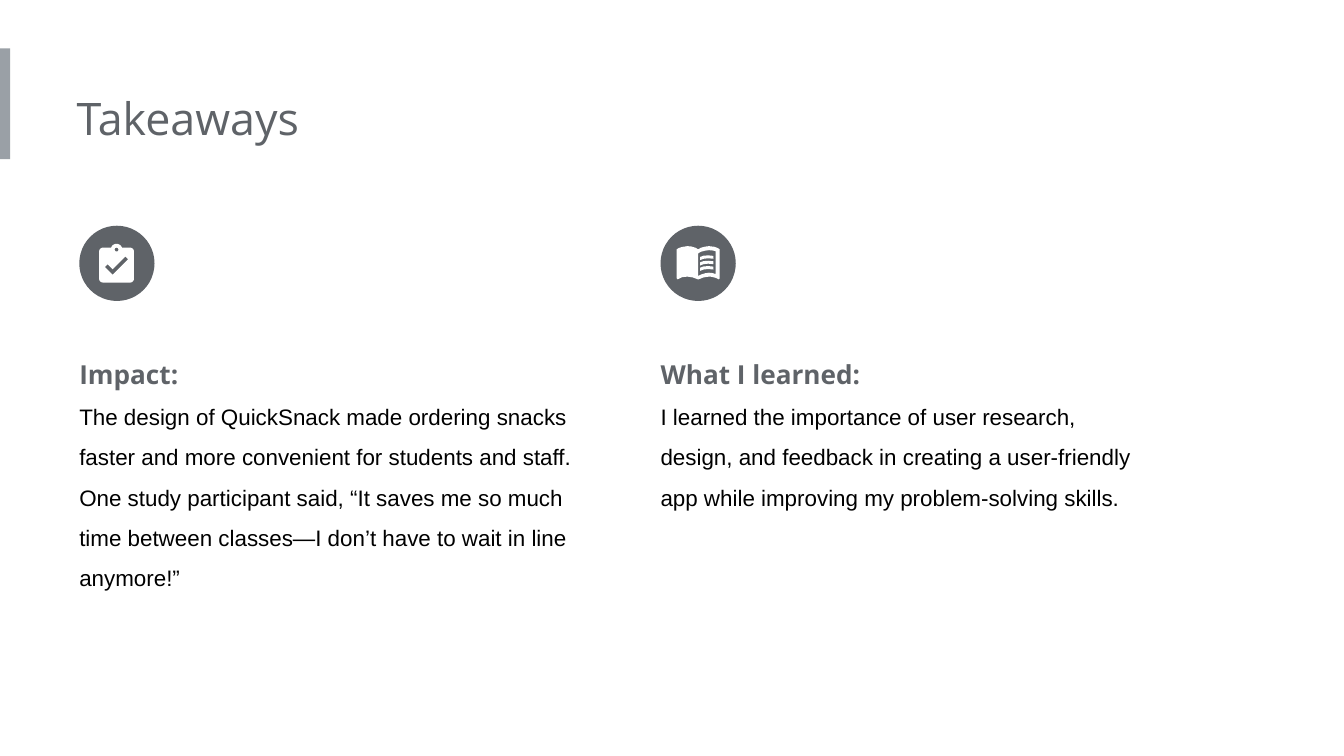
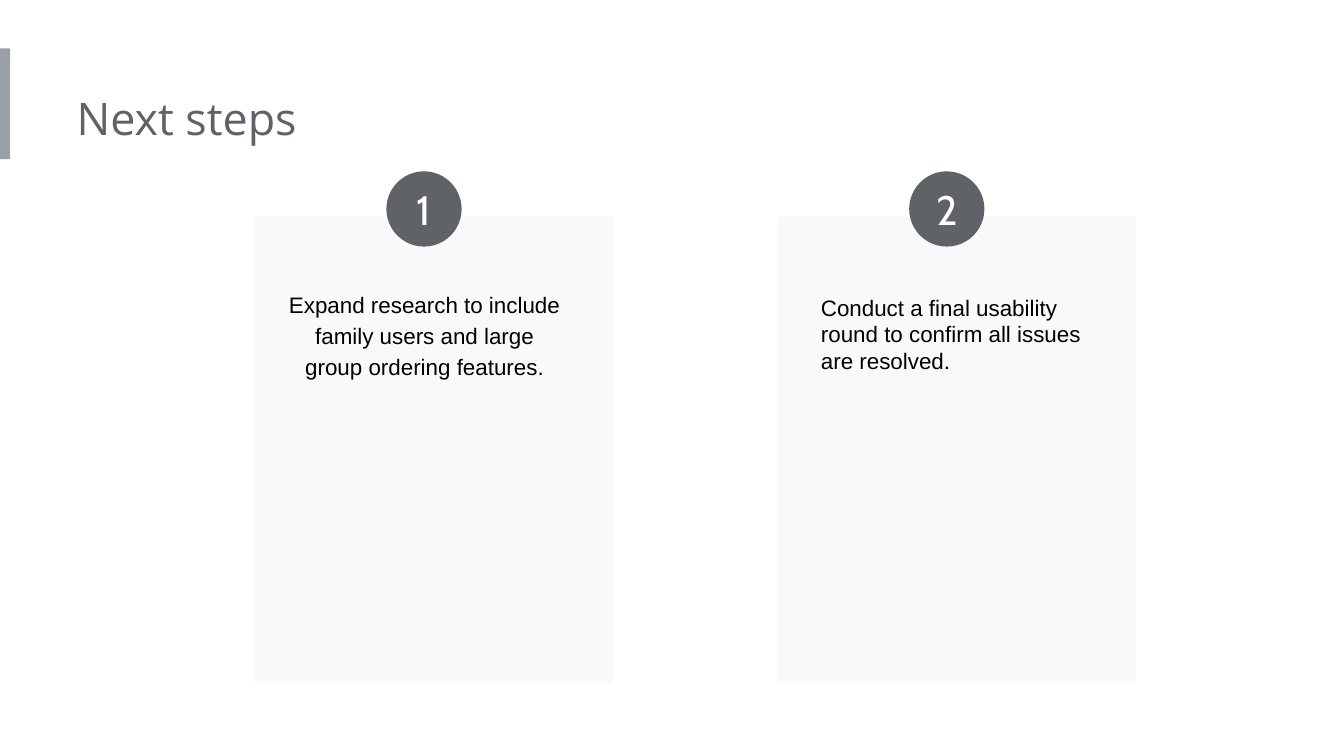
"""Build the Takeaways and Next steps slides."""
from math import cos, radians, sin

from pptx import Presentation
from pptx.dml.color import RGBColor
from pptx.enum.shapes import MSO_SHAPE
from pptx.enum.text import MSO_ANCHOR, MSO_AUTO_SIZE, PP_ALIGN
from pptx.util import Pt

SCALE = 4572
GRAY = RGBColor(0x5F, 0x63, 0x68)
ACCENT = RGBColor(0x9A, 0xA0, 0xA6)
CARD = RGBColor(0xF8, 0xF9, 0xFA)
WHITE = RGBColor(0xFF, 0xFF, 0xFF)
BLACK = RGBColor(0, 0, 0)

TITLE_STYLE = ("Open Sans", 24, GRAY, False)
HEADING_STYLE = ("Open Sans", 14, GRAY, True)
BODY_STYLE = ("Arial", 12, BLACK, False)
NUMBER_STYLE = ("Cabin", 22, WHITE, False)
CIRCLE = 112


def add_text(slide, box, lines, left_inset=0, right_inset=20, spacing=1.0, align=PP_ALIGN.LEFT):
    shape = slide.shapes.add_textbox(*[value * SCALE for value in box])
    frame = shape.text_frame
    frame.word_wrap = True
    frame.auto_size = MSO_AUTO_SIZE.SHAPE_TO_FIT_TEXT
    frame.margin_left = left_inset * SCALE
    frame.margin_right = right_inset * SCALE
    frame.margin_top = frame.margin_bottom = 20 * SCALE
    for index, (text, (font, size, color, bold)) in enumerate(lines):
        paragraph = frame.paragraphs[0] if index == 0 else frame.add_paragraph()
        paragraph.alignment = align
        paragraph.line_spacing = spacing
        run = paragraph.add_run()
        run.text = text
        run.font.name = font
        run.font.size = Pt(size)
        run.font.bold = bold
        run.font.color.rgb = color


def add_filled(shapes, color, preset=None, box=None, contours=None, origin=None, unit=2):
    if preset is not None:
        shape = shapes.add_shape(preset, *[value * SCALE for value in box])
    else:
        rings = [[(x * 100, y * 100) for x, y in ring] for ring in contours]
        builder = shapes.build_freeform(*rings[0][0], scale=SCALE * unit / 100)
        builder.add_line_segments(rings[0][1:])
        for ring in rings[1:]:
            builder.move_to(*ring[0])
            builder.add_line_segments(ring[1:])
        shape = builder.convert_to_shape(*[value * SCALE for value in origin])
    shape.shadow.inherit = False
    shape.fill.solid()
    shape.fill.fore_color.rgb = color
    shape.line.fill.background()
    return shape


presentation = Presentation()
presentation.slide_width = 2000 * SCALE
presentation.slide_height = 1125 * SCALE

slides = []
for title in ("Takeaways", "Next steps"):
    slide = presentation.slides.add_slide(presentation.slide_layouts[6])
    slide.background.fill.solid()
    slide.background.fill.fore_color.rgb = WHITE
    add_filled(slide.shapes, ACCENT, MSO_SHAPE.RECTANGLE, (0, 72, 15, 165))
    add_text(slide, (114, 115, 1078, 122), [(title, TITLE_STYLE)])
    slides.append(slide)
takeaways, next_steps = slides

columns = [
    (118, 414, 20, "Impact:",
     "The design of QuickSnack made ordering snacks faster and more convenient for students "
     "and staff. One study participant said, “It saves me so much time between classes—I "
     "don’t have to wait in line anymore!”"),
    (983, 292, 34, "What I learned:",
     "I learned the importance of user research, design, and feedback in creating a "
     "user-friendly app while improving my problem-solving skills."),
]
for left, height, right_inset, heading, body in columns:
    add_text(takeaways, (left, 490, 754, height), [(heading, HEADING_STYLE), (body, BODY_STYLE)],
             right_inset=right_inset, spacing=1.5)
    add_filled(takeaways.shapes, GRAY, MSO_SHAPE.OVAL, (left, 336, CIRCLE, CIRCLE))

clipboard_arcs = [(12, 4, 3, 200, 340), (19, 5, 2, 270, 360), (19, 19, 2, 0, 90),
                  (5, 19, 2, 90, 180), (5, 5, 2, 180, 270)]
clip_hole_arcs = [(12, 4, 1, 360, 0)]
board, clip_hole = [
    [(x + radius * cos(radians(start + (end - start) * step / 12)),
      y + radius * sin(radians(start + (end - start) * step / 12)))
     for x, y, radius, start, end in arcs for step in range(13)]
    for arcs in (clipboard_arcs, clip_hole_arcs)
]
check_mark = [(10, 17), (18, 9), (16.59, 7.58), (10, 14.17), (7.41, 11.59), (6, 13)]
add_filled(takeaways.shapes, WHITE, contours=[board, clip_hole, check_mark],
           origin=(139, 360), unit=2.88)

book_outline = [
    (0, 2.6), (1.6, 1.6), (4, 0.8), (8, 0.2), (11, 0.5), (14, 1.4), (16, 2.6), (18, 1.4),
    (21, 0.6), (24, 0.2), (28, 0.7), (30.5, 1.6), (32, 2.6), (32, 24.2), (31.3, 24.9),
    (29, 23.8), (26, 23), (24, 22.9), (20, 23.5), (16, 25), (12, 23.5), (8, 22.9),
    (4, 23.3), (0.7, 24.9), (0, 24.2),
]
book_page = [(16, 5.6), (16, 22.4), (18, 21.4), (21, 20.4), (24, 20), (26.5, 20.2),
             (29, 21), (29, 4), (27, 3.5), (24, 3.2), (21, 3.6), (18, 4.4)]
book_line = [(17.4, 8.2), (20, 7.3), (23.5, 7), (27.4, 7.4),
             (27.4, 9.6), (23.5, 9.2), (20, 9.6), (17.4, 10.6)]
book = takeaways.shapes.add_group_shape()
add_filled(book.shapes, WHITE, contours=[book_outline, book_page], origin=(1007, 366))
for row in range(3):
    add_filled(book.shapes, WHITE, contours=[book_line], origin=(1007, 366 + 8 * row))

steps = [
    (379, (408, 408, 448, 180), 1.15, PP_ALIGN.CENTER,
     "Expand research to include family users and large group ordering features."),
    (1157, (1202, 417, 448, 162), 1.0, PP_ALIGN.LEFT,
     "Conduct a final usability round to confirm all issues are resolved."),
]
for number, (left, text_box, spacing, align, text) in enumerate(steps, 1):
    add_filled(next_steps.shapes, CARD, MSO_SHAPE.RECTANGLE, (left, 322, 533, 694))
    add_text(next_steps, text_box, [(text, BODY_STYLE)], left_inset=20, right_inset=20,
             spacing=spacing, align=align)
    badge = add_filled(next_steps.shapes, GRAY, MSO_SHAPE.OVAL, (left + 196, 255, CIRCLE, CIRCLE))
    frame = badge.text_frame
    frame.margin_left = frame.margin_right = frame.margin_top = frame.margin_bottom = 0
    frame.vertical_anchor = MSO_ANCHOR.MIDDLE
    paragraph = frame.paragraphs[0]
    paragraph.alignment = PP_ALIGN.CENTER
    run = paragraph.add_run()
    run.text = str(number)
    font, size, color, bold = NUMBER_STYLE
    run.font.name = font
    run.font.size = Pt(size)
    run.font.bold = bold
    run.font.color.rgb = color

presentation.save("out.pptx")
